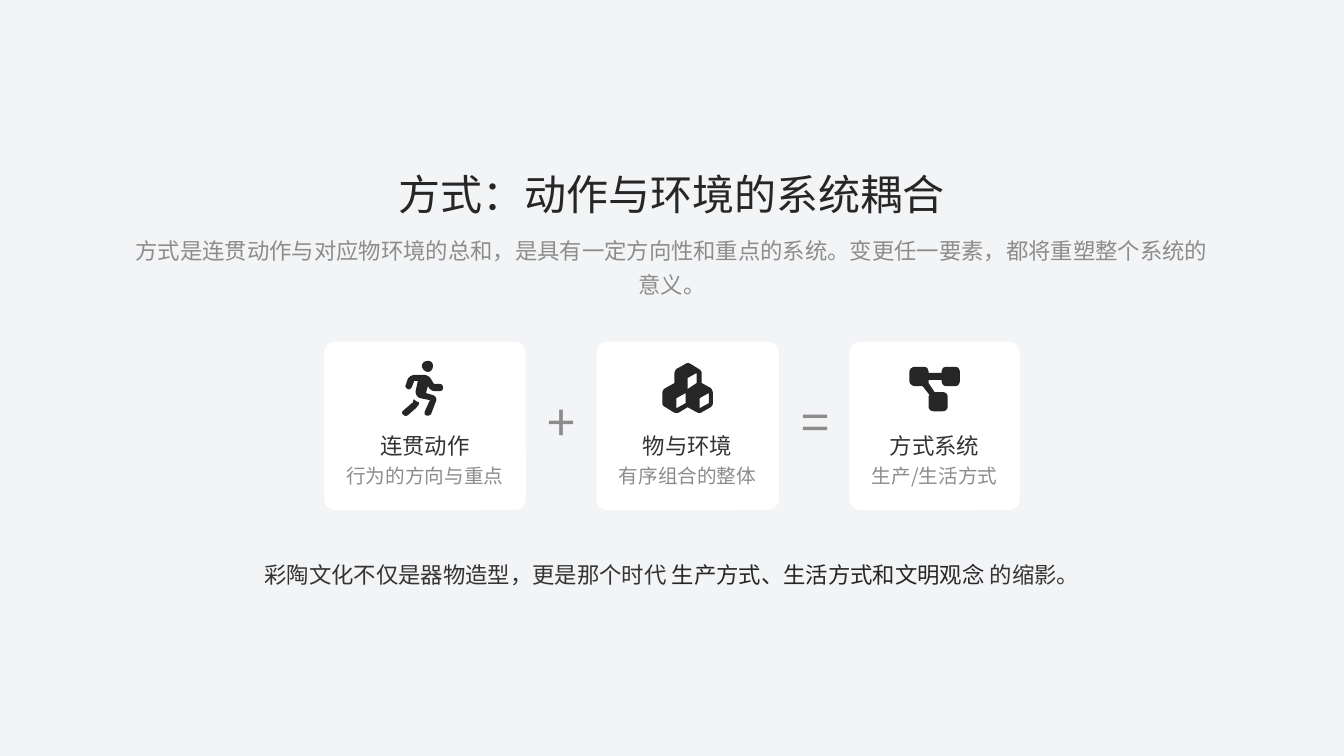
from lxml import etree
from pptx import Presentation
from pptx.dml.color import RGBColor
from pptx.enum.shapes import MSO_SHAPE
from pptx.enum.text import MSO_ANCHOR, PP_ALIGN
from pptx.oxml.ns import qn
from pptx.util import Inches, Pt

ROUND = MSO_SHAPE.ROUNDED_RECTANGLE
MIDDLE = MSO_ANCHOR.MIDDLE
LEFT, CENTER = PP_ALIGN.LEFT, PP_ALIGN.CENTER
FONT = "Noto Sans CJK SC"
WIDE, HIGH = 13.33, 7.5
INK, DARK, GREY, WHITE, PALE = "262626", "333333", "8C8C8C", "FFFFFF", "F3F4F6"
UNIT = 9144
STEPS = 6
CARD_TOP, CARD_HIGH, GAP, CORNER = 3.39, 1.67, 0.7, 0.11

RUNNER = [
    "25,-3 28,-3;30,-1;30,2 30,5;28,8;25,8 22,8;19,5;19,2 19,-1;22,-3;25,-3",
    "12,17 11,17;11,17;11,18 9,23 8,25;6,26;5,25 3,24;2,22;3,21 5,15 6,13;9,11;12,11 "
    "21,11 24,11;27,13;28,15 31,20 37,20 39,20;40,22;40,24 40,25;39,27;37,27 31,27 "
    "29,27;27,25;26,24 25,22 23,29 30,31 33,32;34,35;33,37 28,50 27,51;25,52;23,51 "
    "22,51;21,49;22,47 27,36 17,34 14,33;12,29;13,26 15,17",
    "11,35 12,36;14,38;16,38 16,40 15,42;14,43;13,44 5,51 3,52;2,52;0,50 "
    "-1,49;-1,47;1,46 9,39 9,39;10,39;10,38",
]
CUBES = [
    "28,0 26,-1;24,-1;23,0 14,5 13,6;12,8;12,9 12,19 3,24 1,25;0,27;0,29 0,39 "
    "0,41;1,42;3,43 11,48 13,49;15,49;17,48 25,43 34,48 36,49;38,49;39,48 48,43 "
    "49,42;50,41;50,39 50,29 50,27;49,25;48,24 39,19 39,9 39,8;38,6;36,5",
    "23,29 23,39 14,44 14,34",
    "46,29 46,39 37,44 37,34",
    "34,9 34,19 25,25 25,14",
]
NODES = [
    "0,8 0,5;3,3;5,3 15,3 17,3;19,5;19,8 19,9 32,9 32,8 32,5;34,3;36,3 46,3 "
    "48,3;50,5;50,8 50,17 50,20;48,22;46,22 36,22 34,22;32,20;32,17 32,16 19,16 "
    "19,17 19,18;19,19;19,19 25,28 33,28 36,28;38,30;38,33 38,42 38,45;36,47;33,47 "
    "24,47 21,47;19,45;19,42 19,33 19,32;19,32;20,31 13,22 5,22 3,22;0,20;0,17",
]
CARDS = [
    (2, RUNNER, 0.44, "连贯动作", "行为的方向与重点", "+"),
    (1.81, CUBES, 0.5, "物与环境", "有序组合的整体", "="),
    (1.69, NODES, 0.5, "方式系统", "生产/生活方式", ""),
]


def tint(code):
    """Turn a hex string into a colour."""
    return RGBColor.from_string(code)


def paint(shape, code):
    """Give a shape a plain fill without line or shadow."""
    shape.shadow.inherit = False
    shape.fill.solid()
    shape.fill.fore_color.rgb = tint(code)
    shape.line.fill.background()


def write(slide, box, runs, size, space=1.0, align=CENTER):
    """Place one paragraph of (text, colour) runs in a box."""
    frame = slide.shapes.add_textbox(*map(Inches, box)).text_frame
    frame.word_wrap = True
    frame.vertical_anchor = MIDDLE
    frame.margin_left = frame.margin_right = 0
    frame.margin_top = frame.margin_bottom = 0
    para = frame.paragraphs[0]
    para.alignment = align
    para.line_spacing = space
    for text, code in runs:
        run = para.add_run()
        run.text = text
        run.font.size = Pt(size)
        run.font.name = FONT
        run.font.color.rgb = tint(code)
        etree.SubElement(run.font._element, qn("a:ea")).set("typeface", FONT)


def trace(text):
    """List the points of an outline, where x,y;x,y;x,y is a cubic curve."""
    points = []
    for part in text.split():
        knots = [tuple(UNIT * int(n) for n in knot.split(",")) for knot in part.split(";")]
        if len(knots) == 1:
            points += knots
            continue
        curve = [points[-1], *knots]
        for step in range(1, STEPS + 1):
            t = step / STEPS
            u = 1 - t
            share = (u ** 3, 3 * u * u * t, 3 * u * t * t, t ** 3)
            points.append(tuple(sum(s * k[axis] for s, k in zip(share, curve))
                                for axis in (0, 1)))
    return points


def icon(slide, left, top, outlines):
    """Draw outlines as one shape from its corner."""
    first, *rest = [trace(text) for text in outlines]
    pen = slide.shapes.build_freeform(*first[0], scale=1.0)
    pen.add_line_segments(first[1:], close=True)
    for points in rest:
        pen.move_to(*points[0])
        pen.add_line_segments(points[1:], close=True)
    paint(pen.convert_to_shape(Inches(left), Inches(top)), INK)


def card(slide, box, outlines, span, name, note):
    """Draw a white card with icon, name and note."""
    left, top, wide, high = box
    panel = slide.shapes.add_shape(ROUND, *map(Inches, box))
    panel.adjustments[0] = CORNER / min(wide, high)
    paint(panel, WHITE)
    icon(slide, left + (wide - span) / 2, top + 0.22, outlines)
    write(slide, (left, top + 0.83, wide, 0.33), [(name, DARK)], 16, 1.3)
    write(slide, (left, top + 1.17, wide, 0.28), [(note, GREY)], 14, 1.2)


def formula(slide, top, high):
    """Set the cards in a centred row, joined by signs."""
    total = sum(item[0] for item in CARDS) + GAP * (len(CARDS) - 1)
    left = (WIDE - total) / 2
    for wide, outlines, span, name, note, sign in CARDS:
        card(slide, (left, top, wide, high), outlines, span, name, note)
        left += wide
        if sign:
            write(slide, (left + 0.22, top + 0.55, 0.82, 0.56),
                  [(sign, GREY)], 36, 0.9, LEFT)
        left += GAP


def header(slide):
    """Write the title and the lead below it."""
    write(slide, (0, 1.67, WIDE, 0.5), [("方式：动作与环境的系统耦合", INK)], 30)
    lead = "方式是连贯动作与对应物环境的总和，是具有一定方向性和重点的系统。变更任一要素，都将重塑整个系统的意义。"
    write(slide, (WIDE * 0.1, 2.28, WIDE * 0.8, 0.67), [(lead, GREY)], 16, 1.3)


def footer(slide):
    """Write the closing line."""
    runs = [("彩陶文化不仅是器物造型，更是那个时代", DARK),
            (" 生产方式、生活方式和文明观念 ", INK),
            ("的缩影。", DARK)]
    write(slide, (0.28, 5.5, WIDE - 0.56, 0.33), runs, 16, 1.3)


def main():
    """Build and save the slide."""
    deck = Presentation()
    deck.slide_width, deck.slide_height = Inches(WIDE), Inches(HIGH)
    slide = deck.slides.add_slide(deck.slide_layouts[6])
    slide.background.fill.solid()
    slide.background.fill.fore_color.rgb = tint(PALE)
    header(slide)
    formula(slide, CARD_TOP, CARD_HIGH)
    footer(slide)
    deck.save("out.pptx")


if __name__ == "__main__":
    main()
